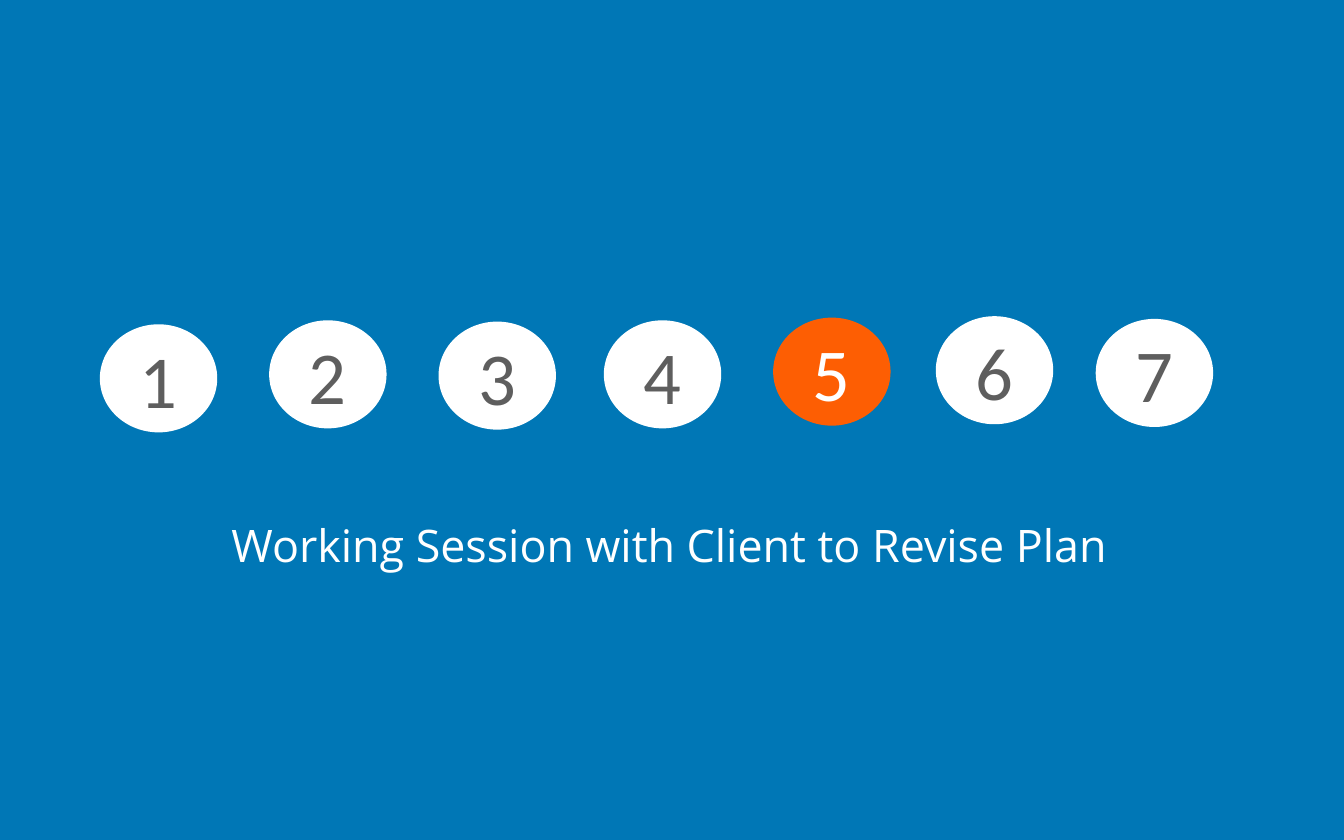
from dataclasses import dataclass

from pptx import Presentation
from pptx import util as u
from pptx.dml.color import RGBColor
from pptx.enum import shapes, text


@dataclass(frozen=True)
class Theme:
    background: str = "0077B6"
    plain: str = "FFFFFF"
    accent: str = "FD5E03"
    number: str = "5E5E5E"
    title_font: str = "Open Sans"
    number_font: str = "Calibri"
    title_size: int = 24
    number_size: int = 40


THEME = Theme()
WIDTH, HEIGHT = 10, 6.25
CURRENT_STEP = 5
STEP_WIDTH, STEP_HEIGHT = 0.86, 0.79
# Left and top of each step, in reading order
STEP_PLACES = [(0.75, 2.42), (2.01, 2.39), (3.27, 2.4), (4.5, 2.39),
               (5.76, 2.37), (6.97, 2.36), (8.16, 2.38)]


def rgb(colour):
    return RGBColor.from_string(colour)


def set_text(frame, words, font, size, colour):
    """Write one centred paragraph in the middle of a frame."""
    frame.text = words
    frame.word_wrap = True
    frame.auto_size = text.MSO_AUTO_SIZE.NONE
    frame.vertical_anchor = text.MSO_ANCHOR.MIDDLE
    paragraph = frame.paragraphs[0]
    paragraph.alignment = text.PP_ALIGN.CENTER
    run_font = paragraph.runs[0].font
    run_font.name, run_font.size = font, u.Pt(size)
    run_font.color.rgb = rgb(colour)
    return paragraph


def add_title(slide, words):
    title = slide.shapes.title
    title.left, title.top = u.Inches(1.13), u.Inches(2.44)
    title.width, title.height = u.Inches(7.7), u.Inches(HEIGHT / 2)
    line = set_text(title.text_frame, words, THEME.title_font,
                    THEME.title_size, THEME.plain)
    line.line_spacing = 1.25


def add_step(slide, number, left, top):
    current = number == CURRENT_STEP
    fill = THEME.accent if current else THEME.plain
    step = slide.shapes.add_shape(
        shapes.MSO_SHAPE.OVAL, u.Inches(left), u.Inches(top),
        u.Inches(STEP_WIDTH), u.Inches(STEP_HEIGHT))
    step.shadow.inherit = False
    step.fill.solid()
    step.fill.fore_color.rgb = rgb(fill)
    step.line.color.rgb = rgb(fill)
    step.line.width = u.Pt(1)
    set_text(step.text_frame, str(number), THEME.number_font,
             THEME.number_size, THEME.plain if current else THEME.number)


def main():
    deck = Presentation()
    deck.slide_width, deck.slide_height = u.Inches(WIDTH), u.Inches(HEIGHT)
    slide = deck.slides.add_slide(deck.slide_layouts.get_by_name("Title Only"))
    slide.background.fill.solid()
    slide.background.fill.fore_color.rgb = rgb(THEME.background)

    # Name of the current step
    add_title(slide, "Working Session with Client to Revise Plan")

    # Row of numbered steps
    for number, (left, top) in enumerate(STEP_PLACES, start=1):
        add_step(slide, number, left, top)

    deck.save("out.pptx")


if __name__ == "__main__":
    main()
